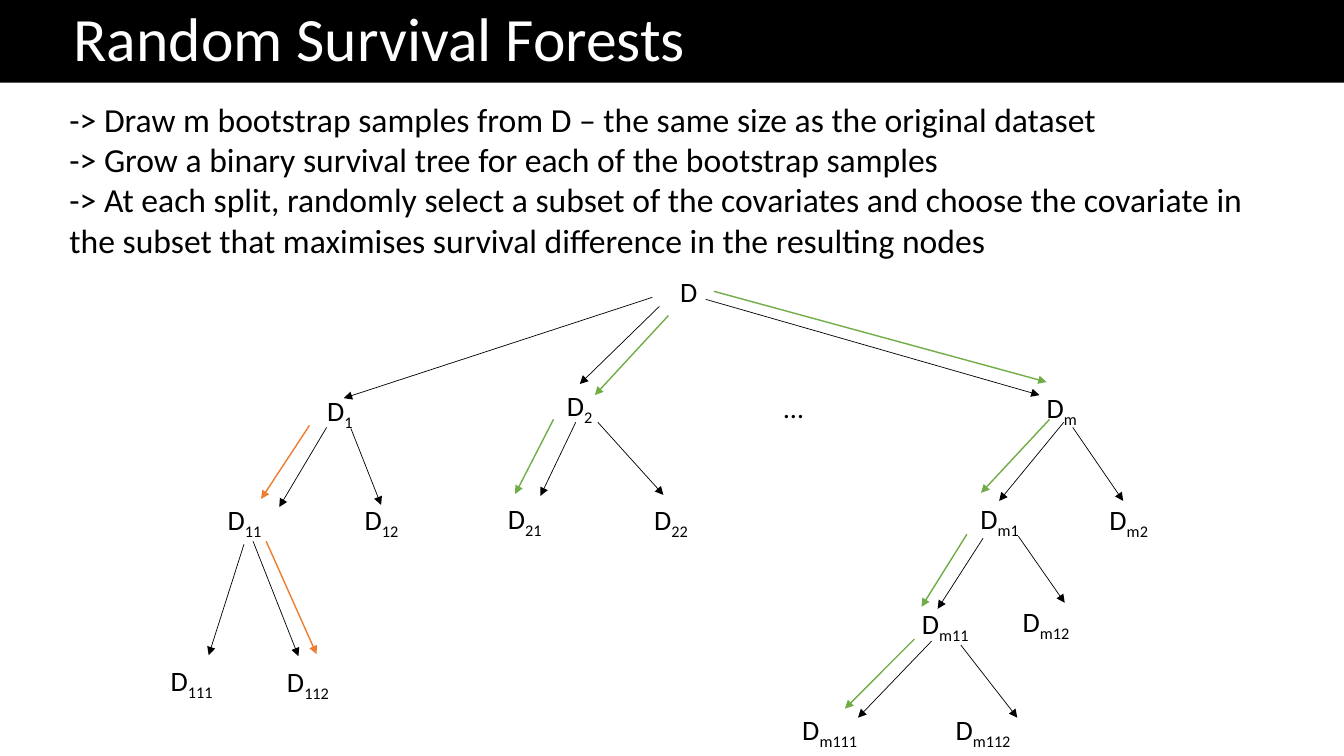
from lxml import etree
from pptx import Presentation
from pptx.dml.color import RGBColor
from pptx.enum.shapes import MSO_CONNECTOR, MSO_SHAPE
from pptx.enum.text import MSO_ANCHOR, MSO_AUTO_SIZE, PP_ALIGN
from pptx.oxml.ns import qn
from pptx.util import Inches, Pt

BLACK = RGBColor(0x00, 0x00, 0x00)
WHITE = RGBColor(0xFF, 0xFF, 0xFF)
GREEN = RGBColor(0x70, 0xAD, 0x47)
ORANGE = RGBColor(0xED, 0x7D, 0x31)
RECT = MSO_SHAPE.RECTANGLE
STRAIGHT = MSO_CONNECTOR.STRAIGHT
LEFT, CENTER = PP_ALIGN.LEFT, PP_ALIGN.CENTER
TOP, MIDDLE = MSO_ANCHOR.TOP, MSO_ANCHOR.MIDDLE
GROW = MSO_AUTO_SIZE.SHAPE_TO_FIT_TEXT
NODE_HEIGHT = 0.43

# text, subscript, left, top, width
NODES = [
    ("D", "", 6.49, 2.65, 0.68),
    ("D", "1", 3.03, 3.83, 0.68),
    ("D", "2", 5.41, 3.78, 0.68),
    ("…", "", 7.53, 3.8, 0.68),
    ("D", "m", 10.19, 3.8, 0.68),
    ("D", "11", 2.04, 4.91, 0.77),
    ("D", "12", 3.4, 4.91, 0.77),
    ("D", "21", 4.83, 4.9, 0.75),
    ("D", "22", 6.29, 4.91, 0.73),
    ("D", "m1", 9.54, 4.9, 0.75),
    ("D", "m2", 10.82, 4.91, 0.75),
    ("D", "111", 1.48, 6.51, 0.84),
    ("D", "112", 2.64, 6.52, 0.83),
    ("D", "m11", 8.96, 5.94, 0.83),
    ("D", "m12", 9.96, 5.92, 0.83),
    ("D", "m111", 7.75, 6.99, 0.96),
    ("D", "m112", 9.27, 6.99, 0.96),
]

# colour, width in points, arrows as (from x, from y, to x, to y)
ARROWS = [
    (BLACK, 0.5, [
        (6.47, 2.95, 3.41, 3.95), (6.54, 3.04, 5.75, 3.81), (7, 2.97, 10.31, 3.92),
        (3.24, 4.24, 2.77, 5.03), (3.48, 4.25, 3.78, 5.01),
        (2.42, 5.4, 2.07, 6.5), (2.51, 5.37, 2.96, 6.51),
        (5.71, 4.19, 5.36, 4.92), (5.93, 4.19, 6.58, 4.91),
        (10.55, 4.19, 9.91, 4.97), (10.64, 4.24, 11.14, 4.97),
        (9.75, 5.34, 9.3, 6.04), (10.1, 5.32, 10.56, 5.98),
        (9.24, 6.36, 8.51, 7.12), (9.53, 6.4, 10.09, 7.12),
    ]),
    (GREEN, 1, [
        (6.63, 3.13, 5.9, 3.92), (5.49, 4.16, 5.11, 4.9),
        (7.08, 2.89, 10.38, 3.79), (10.41, 4.16, 9.73, 4.89),
        (9.59, 5.3, 9.14, 6.02), (9.07, 6.34, 8.38, 7.03),
    ]),
    (ORANGE, 1, [(3.07, 4.22, 2.59, 4.95), (2.64, 5.37, 3.14, 6.49)]),
]

STEPS = [
    "-> Draw m bootstrap samples from D – the same size as the original dataset",
    "-> Grow a binary survival tree for each of the bootstrap samples",
    "-> At each split, randomly select a subset of the covariates and choose the "
    "covariate in the subset that maximises survival difference in the resulting nodes",
]


def add_run(p, text, size, color):
    r = p.add_run()
    r.text = text
    r.font.name = "Calibri"
    r.font.size = Pt(size)
    r.font.color.rgb = color
    return r


def add_box(shapes, left, top, width, height, color):
    """Add a filled rectangle with a thin outline of the same colour."""
    sp = shapes.add_shape(RECT, Inches(left), Inches(top), Inches(width), Inches(height))
    sp.shadow.inherit = False
    sp.fill.solid()
    sp.fill.fore_color.rgb = color
    sp.line.color.rgb = color
    sp.line.width = Pt(0.75)
    return sp


prs = Presentation()
prs.slide_width, prs.slide_height = Inches(13.33), Inches(7.5)
s = prs.slides.add_slide(prs.slide_layouts[6])

# Tree
tree = s.shapes.add_group_shape()
for text, subscript, left, top, width in NODES:
    sp = add_box(tree.shapes, left, top, width, NODE_HEIGHT, WHITE)
    tf = sp.text_frame
    tf.vertical_anchor = TOP
    p = tf.paragraphs[0]
    p.alignment = CENTER
    p.line_spacing = 1.07
    p.space_after = Pt(8)
    add_run(p, text, 20, BLACK)
    if subscript:
        r = add_run(p, subscript, 20, BLACK)
        r.font._element.set("baseline", "-25000")

for color, weight, arrows in ARROWS:
    for ends in arrows:
        arrow = tree.shapes.add_connector(STRAIGHT, *(Inches(v) for v in ends))
        arrow.line.color.rgb = color
        arrow.line.width = Pt(weight)
        etree.SubElement(arrow.line._get_or_add_ln(), qn("a:tailEnd"), type="triangle")
        etree.SubElement(arrow._element.spPr, qn("a:effectLst"))

# Title bar
bar = add_box(s.shapes, 0, 0, 13.33, 0.82, BLACK)
bar.line.fill.background()
tf = bar.text_frame
tf.margin_left = Inches(0.73)
tf.vertical_anchor = MIDDLE
p = tf.paragraphs[0]
p.alignment = LEFT
p.line_spacing = 0.9
p.space_after = Pt(6)
add_run(p, "Random Survival Forests", 44, WHITE)

# Steps of the method
body = s.shapes.add_textbox(Inches(0.59), Inches(0.93), Inches(12.15), Inches(1.72))
tf = body.text_frame
tf.word_wrap = True
tf.auto_size = GROW
for i, step in enumerate(STEPS):
    p = tf.add_paragraph() if i else tf.paragraphs[0]
    add_run(p, step, 24, BLACK)

prs.save("out.pptx")
